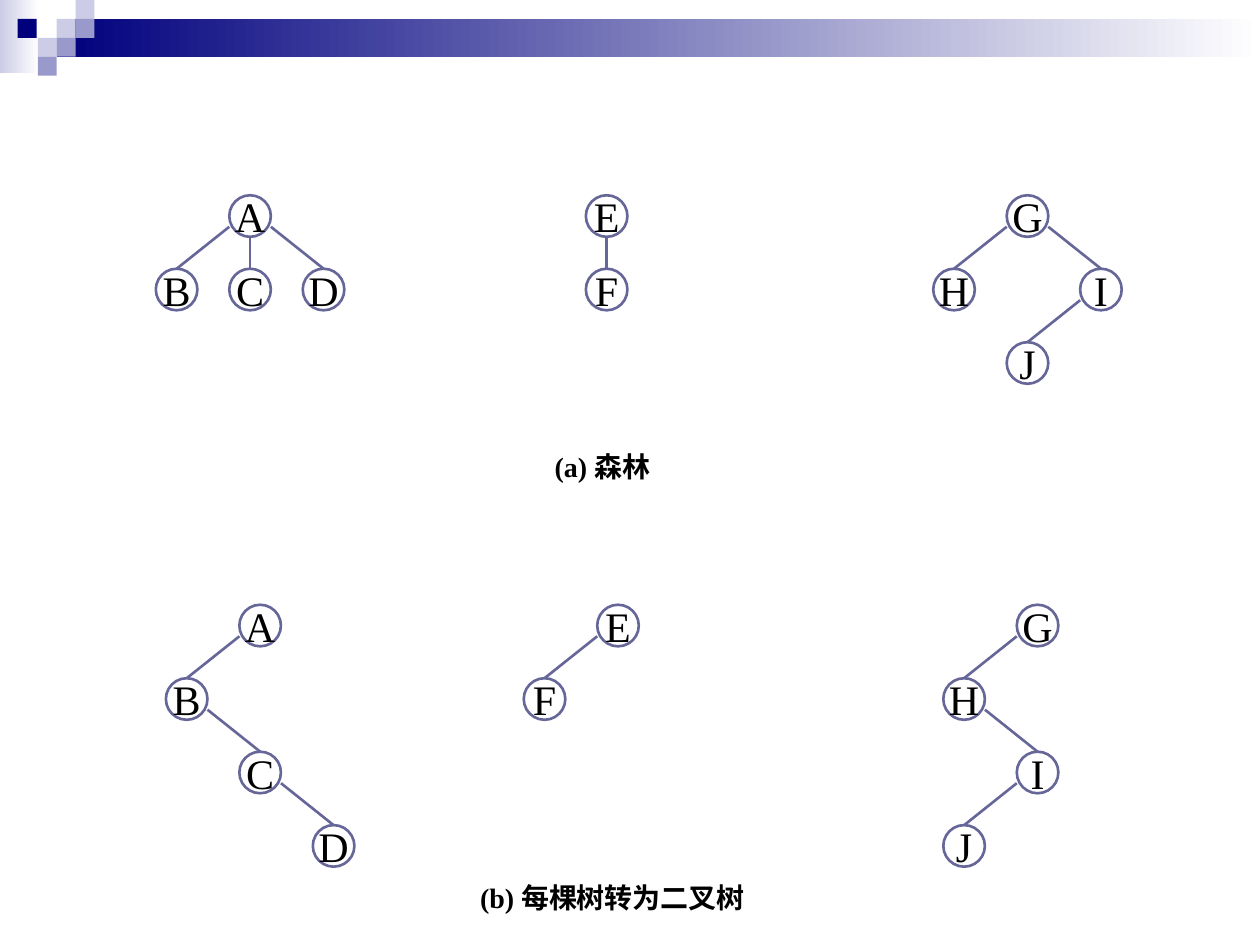
from lxml.etree import SubElement
from pptx import Presentation
from pptx.dml.color import RGBColor
from pptx.enum.shapes import MSO_CONNECTOR, MSO_SHAPE
from pptx.enum.text import MSO_ANCHOR, PP_ALIGN
from pptx.oxml.ns import qn
from pptx.util import Inches, Pt

NAVY = RGBColor(0x00, 0x00, 0x7D)
LAVENDER = RGBColor(0xCC, 0xCC, 0xE6)
PERIWINKLE = RGBColor(0x99, 0x99, 0xCC)
SLATE = RGBColor(0x66, 0x66, 0x99)
WHITE = RGBColor(0xFF, 0xFF, 0xFF)
BLACK = RGBColor(0x00, 0x00, 0x00)
FONT = "Times New Roman"

NODE = 0.33    # node diameter
STEP = 0.583   # distance between neighbouring columns and levels
SHOULDER = 0.25  # height on a parent where slanted edges leave
TILE = 0.15

FOREST_TOP, BINARY_TOP = 1.55, 4.8
# root left, root top, {node: (column, level)}, edges from parent to child
TREES = [
    (1.82, FOREST_TOP, {"A": (0, 0), "B": (-1, 1), "C": (0, 1), "D": (1, 1)}, ["AB", "AC", "AD"]),
    (4.65, FOREST_TOP, {"E": (0, 0), "F": (0, 1)}, ["EF"]),
    (7.99, FOREST_TOP, {"G": (0, 0), "H": (-1, 1), "I": (1, 1), "J": (0, 2)}, ["GH", "GI", "IJ"]),
    (1.9, BINARY_TOP, {"A": (0, 0), "B": (-1, 1), "C": (0, 2), "D": (1, 3)}, ["AB", "BC", "CD"]),
    (4.74, BINARY_TOP, {"E": (0, 0), "F": (-1, 1)}, ["EF"]),
    (8.07, BINARY_TOP, {"G": (0, 0), "H": (-1, 1), "I": (0, 2), "J": (-1, 3)}, ["GH", "HI", "IJ"]),
]
TILES = [
    (0.45, 0.15, LAVENDER), (0.6, 0, LAVENDER), (0.6, 0.15, PERIWINKLE),
    (0.3, 0.3, LAVENDER), (0.14, 0.15, NAVY), (0.45, 0.3, PERIWINKLE),
    (0.3, 0.45, PERIWINKLE),
]


def add_plain_shape(s, kind, x, y, w, h):
    sp = s.shapes.add_shape(kind, Inches(x), Inches(y), Inches(w), Inches(h))
    sp.shadow.inherit = False
    return sp


def add_fading_bar(s, x, y, w, h, color):
    sp = add_plain_shape(s, MSO_SHAPE.RECTANGLE, x, y, w, h)
    sp.fill.gradient()
    sp.fill.gradient_angle = 0
    for stop, stop_color in zip(sp.fill.gradient_stops, (color, WHITE)):
        stop.color.rgb = stop_color
    sp.line.fill.background()


def add_tile(s, x, y, color):
    sp = add_plain_shape(s, MSO_SHAPE.RECTANGLE, x, y, TILE, TILE)
    sp.fill.solid()
    sp.fill.fore_color.rgb = color
    sp.line.fill.background()


def add_centred_run(tf, text, size, bold=False):
    p = tf.paragraphs[0]
    p.alignment = PP_ALIGN.CENTER
    r = p.add_run()
    r.text = text
    r.font.name = FONT
    r.font.size = Pt(size)
    r.font.bold = bold
    r.font.color.rgb = BLACK


def add_node(s, x, y, label):
    sp = add_plain_shape(s, MSO_SHAPE.OVAL, x, y, NODE, NODE)
    sp.fill.solid()
    sp.fill.fore_color.rgb = WHITE
    sp.line.color.rgb = SLATE
    sp.line.width = Pt(1.5)
    tf = sp.text_frame
    tf.word_wrap = False
    tf.vertical_anchor = MSO_ANCHOR.MIDDLE
    add_centred_run(tf, label, 24)
    return sp


def add_edge(s, parent, child):
    """Run from the facing side of the parent to the top of the child."""
    if child.left == parent.left:
        x, y = parent.left + parent.width // 2, parent.top + parent.height
    else:
        x = parent.left if child.left < parent.left else parent.left + parent.width
        y = parent.top + Inches(SHOULDER)
    line = s.shapes.add_connector(
        MSO_CONNECTOR.STRAIGHT, x, y, child.left + child.width // 2, child.top)
    line.end_connect(child, 0)
    line.line.color.rgb = SLATE
    line.line.width = Pt(1.5)
    SubElement(line.line._ln.getparent(), qn("a:effectLst"))


def add_tree(s, left, top, places, edges):
    nodes = {label: add_node(s, left + col * STEP, top + level * STEP, label)
             for label, (col, level) in places.items()}
    for parent, child in edges:
        add_edge(s, nodes[parent], nodes[child])


def add_caption(s, x, y, text):
    tf = s.shapes.add_textbox(Inches(x), Inches(y), Inches(2.42), Inches(0.37)).text_frame
    tf.word_wrap = True
    add_centred_run(tf, text, 16, bold=True)


def main():
    prs = Presentation()
    prs.slide_width, prs.slide_height = Inches(10), Inches(7.5)
    s = prs.slides.add_slide(prs.slide_layouts[6])

    add_fading_bar(s, 0, 0, 0.31, 0.58, LAVENDER)
    add_fading_bar(s, 0.45, 0.15, 9.55, 0.3, NAVY)
    for x, y, color in TILES:
        add_tile(s, x, y, color)
    for tree in TREES:
        add_tree(s, *tree)
    add_caption(s, 3.57, 3.52, "(a) 森林")
    add_caption(s, 3.65, 6.94, "(b) 每棵树转为二叉树")

    prs.save("out.pptx")


if __name__ == "__main__":
    main()
